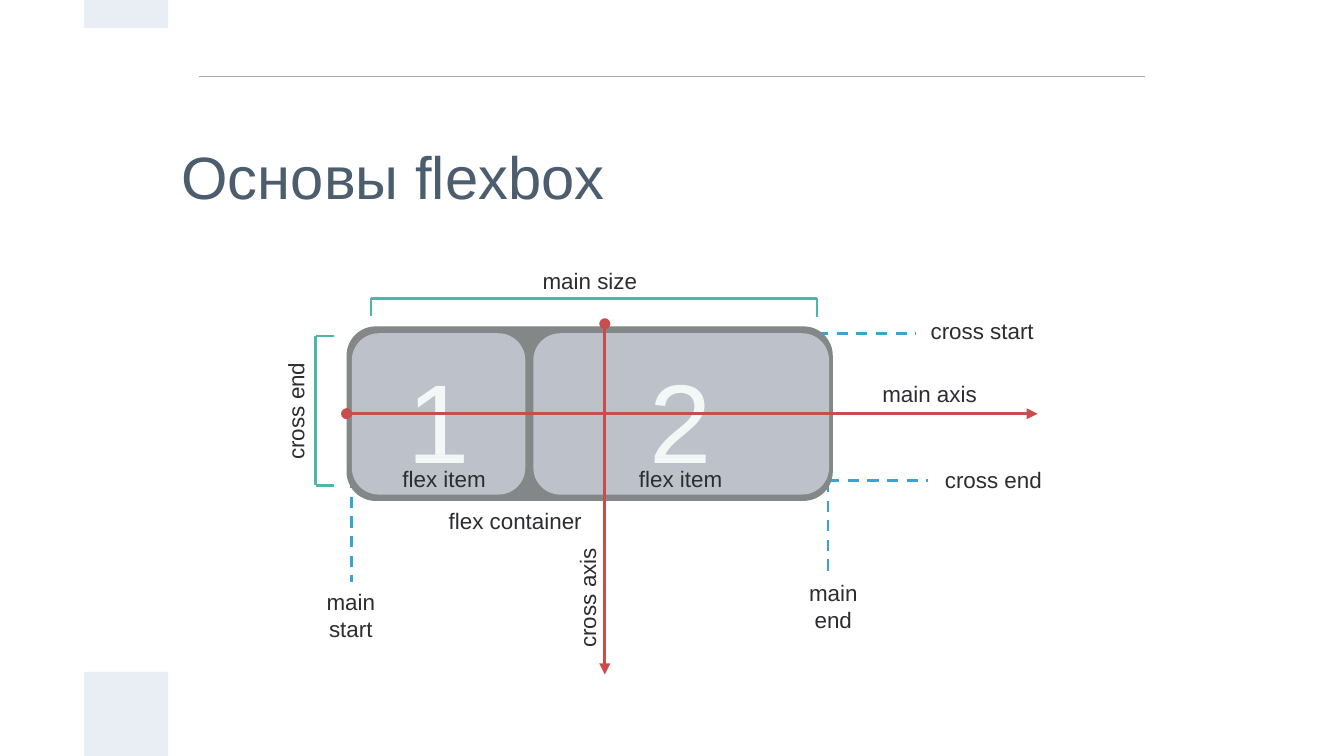
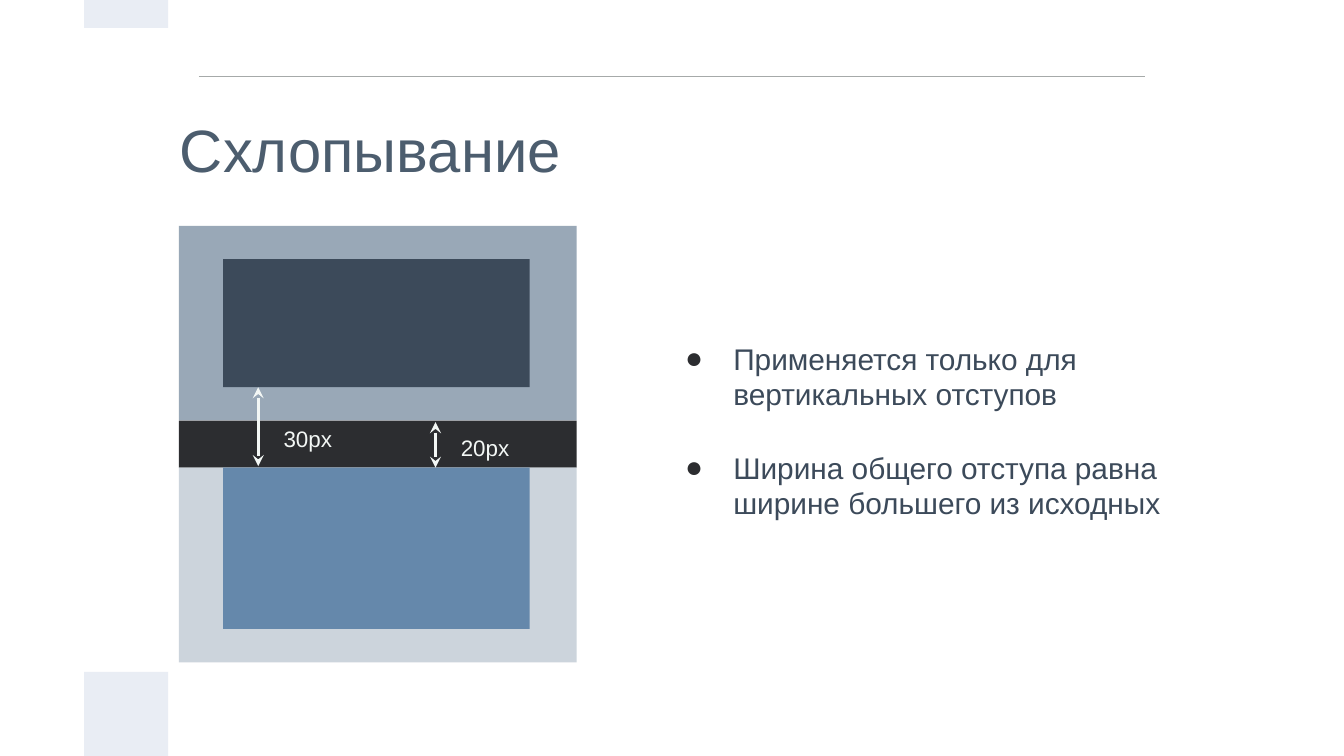
from itertools import pairwise
from lxml.etree import SubElement
from pptx import Presentation
from pptx.dml.color import RGBColor
from pptx.enum.dml import MSO_LINE
from pptx.enum.shapes import MSO_CONNECTOR, MSO_SHAPE
from pptx.enum.text import MSO_ANCHOR, MSO_AUTO_SIZE, PP_ALIGN
from pptx.oxml.ns import qn
from pptx.util import Cm, Pt

# Shared look
FONT = "Arial"
TITLE, SLATE, INK, LIGHT = "4C5D6E", "3C4A5A", "2C2D30", "F3F7F5"
RULE, PALE = "A6AAA9", "E9EDF4"
RED, TEAL, BLUE = "C94D4C", "4DB6AC", "38A3D5"
CONTAINER, ITEM = "838787", "BDC2CA"
CORNER = 0.167

# Slide 1 content, lengths in cm
FLEX_TITLE = "Основы flexbox"
DASHES = [
    ((6.65, 9.02), (6.65, 11)),
    ((15.44, 6.3), (17.32, 6.3)),
    ((15.65, 9.09), (17.53, 9.09)),
    ((15.65, 9.09), (15.65, 10.87)),
]
CONTAINER_BOX = (6.55, 6.17, 9.19, 3.3)
ITEM_TOP, ITEM_HEIGHT = 6.3, 3.05
ITEMS = [  # number, item left, item width, number left, caption left
    ("1", 6.65, 3.28, 6.86, 6.86),
    ("2", 10.08, 5.59, 11.43, 11.33),
]
AXES = [((11.43, 6.12), (11.43, 12.75)), ((6.55, 7.82), (19.61, 7.82))]
BRACKETS = [
    [(7.01, 5.97), (7.01, 5.64), (15.44, 5.64), (15.44, 5.99)],
    [(6.32, 6.35), (5.97, 6.35), (5.97, 9.17), (6.32, 9.17)],
]
LABELS = [  # text, box, rotation
    ("flex container", (8.15, 9.65, 3.18, 0.38), 0),
    ("main axis", (15.54, 7.24, 4.06, 0.38), 0),
    ("cross start", (17.32, 6.12, 2.49, 0.25), 0),
    ("cross end", (17.53, 8.94, 2.49, 0.25), 0),
    ("main size", (9.12, 5.11, 4.06, 0.38), 0),
    ("cross end", (4.29, 7.54, 2.59, 0.46), 270),
    ("main start", (5.69, 11.28, 1.88, 0.71), 0),
    ("main end", (14.81, 11.1, 1.88, 0.71), 0),
    ("cross axis", (9.8, 11.07, 2.59, 0.46), 270),
]

# Slide 2 content
COLLAPSE_TITLE = "Схлопывание"
RULES = [
    "Применяется только для вертикальных отступов",
    "Ширина общего отступа равна ширине большего из исходных",
]
OUTER_LEFT, OUTER_WIDTH = 3.38, 7.52
INNER_LEFT, INNER_WIDTH = 4.22, 5.84
BAND_TOP, BAND_BOTTOM = 7.95, 8.84
BLOCK_HEIGHT = 3.68
BLOCKS = [  # left, width, top, height, colour
    (OUTER_LEFT, OUTER_WIDTH, BAND_TOP - BLOCK_HEIGHT, BLOCK_HEIGHT, "99A8B7"),
    (INNER_LEFT, INNER_WIDTH - 0.05, 4.9, 2.42, SLATE),
    (OUTER_LEFT, OUTER_WIDTH, BAND_TOP, BAND_BOTTOM - BAND_TOP, INK),
    (OUTER_LEFT, OUTER_WIDTH, BAND_BOTTOM, BLOCK_HEIGHT, "CCD4DC"),
    (INNER_LEFT, INNER_WIDTH - 0.05, BAND_BOTTOM, 3.05, "6588AB"),
]
MARGINS = [  # text, arrow x, arrow top, arrow bottom, text width, anchor
    ("30px", 4.88, 7.32, 8.81, 1.83, MSO_ANCHOR.BOTTOM),
    ("20px", 8.23, 7.98, 8.84, 1.6, MSO_ANCHOR.TOP),
]


def rgb(value):
    return RGBColor.from_string(value)


def place(sp, box):
    sp.left, sp.top, sp.width, sp.height = map(Cm, box)


def write(sp, *lines, size=12, color=INK, align=PP_ALIGN.LEFT,
          anchor=MSO_ANCHOR.MIDDLE, spacing=1.0, gap=0):
    tf = sp.text_frame
    tf.word_wrap = True
    tf.auto_size = MSO_AUTO_SIZE.NONE
    tf.vertical_anchor = anchor
    tf.margin_left = tf.margin_right = tf.margin_top = tf.margin_bottom = Cm(0.25)
    for i, line in enumerate(lines):
        p = tf.add_paragraph() if i else tf.paragraphs[0]
        p.alignment, p.line_spacing = align, spacing
        p.space_before = p.space_after = Pt(gap)
        r = p.add_run()
        r.text = line
        r.font.name, r.font.size = FONT, Pt(size)
        r.font.color.rgb = rgb(color)
    return tf


def add_text(s, text, box, rotation=0, **style):
    sp = s.shapes.add_textbox(*map(Cm, box))
    sp.rotation = rotation
    write(sp, text, **style)


def add_box(s, box, color, rounded=False):
    kind = MSO_SHAPE.ROUNDED_RECTANGLE if rounded else MSO_SHAPE.RECTANGLE
    sp = s.shapes.add_shape(kind, *map(Cm, box))
    if rounded:
        sp.adjustments[0] = CORNER
    sp.shadow.inherit = False
    sp.fill.solid()
    sp.fill.fore_color.rgb = rgb(color)
    sp.line.fill.background()


def add_line(s, start, end, color, width=1.5, dash=None, head=None, tail=None):
    line = s.shapes.add_connector(MSO_CONNECTOR.STRAIGHT, *map(Cm, start + end))
    line.line.color.rgb = rgb(color)
    line.line.width = Pt(width)
    if dash:
        line.line.dash_style = dash
    ln = line.line._get_or_add_ln()
    for tag, kind in (("a:headEnd", head), ("a:tailEnd", tail)):
        if kind:
            SubElement(ln, qn(tag), type=kind)
    SubElement(line._element.spPr, qn("a:effectLst"))


def add_bullet(p):
    pPr = p._p.get_or_add_pPr()
    pPr.set("marL", str(Cm(1.27)))
    pPr.set("indent", str(-Cm(0.91)))
    SubElement(SubElement(pPr, qn("a:buClr")), qn("a:srgbClr"), val=INK)
    SubElement(pPr, qn("a:buFont"), typeface=FONT)
    SubElement(pPr, qn("a:buChar"), char="●")


def new_slide(layout, title, left, top, spacing=1.0):
    s = prs.slides.add_slide(prs.slide_layouts[layout])
    add_line(s, (3.76, 1.45), (21.64, 1.45), RULE, width=0.75)
    add_box(s, (1.59, 12.7, 1.59, 1.59), PALE)
    add_box(s, (1.59, 0, 1.59, 0.53), PALE)
    place(s.shapes.title, (left, top, 19.05, 2.41))
    write(s.shapes.title, title, size=32, color=TITLE, spacing=spacing)
    return s


prs = Presentation()
prs.slide_width, prs.slide_height = Cm(25.4), Cm(14.29)

# Slide 1: flexbox diagram
s = new_slide(5, FLEX_TITLE, 3.18, 1.78, spacing=1.5)
for start, end in DASHES:
    add_line(s, start, end, BLUE, dash=MSO_LINE.DASH)
add_box(s, CONTAINER_BOX, CONTAINER, rounded=True)
for number, left, width, number_left, caption_left in ITEMS:
    add_box(s, (left, ITEM_TOP, width, ITEM_HEIGHT), ITEM, rounded=True)
    add_text(s, number, (number_left, 6.4, 2.87, 2.84), size=60, color=LIGHT,
             align=PP_ALIGN.CENTER, anchor=MSO_ANCHOR.TOP)
for start, end in AXES:
    add_line(s, start, end, RED, head="oval", tail="triangle")
for points in BRACKETS:
    for start, end in pairwise(points):
        add_line(s, start, end, TEAL)
captions = [("flex item", (item[4], 8.86, 3.07, 0.38), 0) for item in ITEMS]
for text, box, rotation in captions + LABELS:
    add_text(s, text, box, rotation, align=PP_ALIGN.CENTER)

# Slide 2: margin collapsing
s = new_slide(1, COLLAPSE_TITLE, 3.15, 1.6)
for left, width, top, height, color in BLOCKS:
    add_box(s, (left, top, width, height), color)
for text, x, top, bottom, width, anchor in MARGINS:
    add_line(s, (x, top), (x, bottom), LIGHT, head="stealth", tail="stealth")
    add_text(s, text, (x + 0.23, BAND_TOP, width, 0.84), color=LIGHT, anchor=anchor)
body = s.placeholders[1]
place(body, (12.34, 4.01, 10.44, 8.26))
for p in write(body, *RULES, size=16, color=SLATE, gap=10).paragraphs:
    add_bullet(p)

prs.save("out.pptx")
